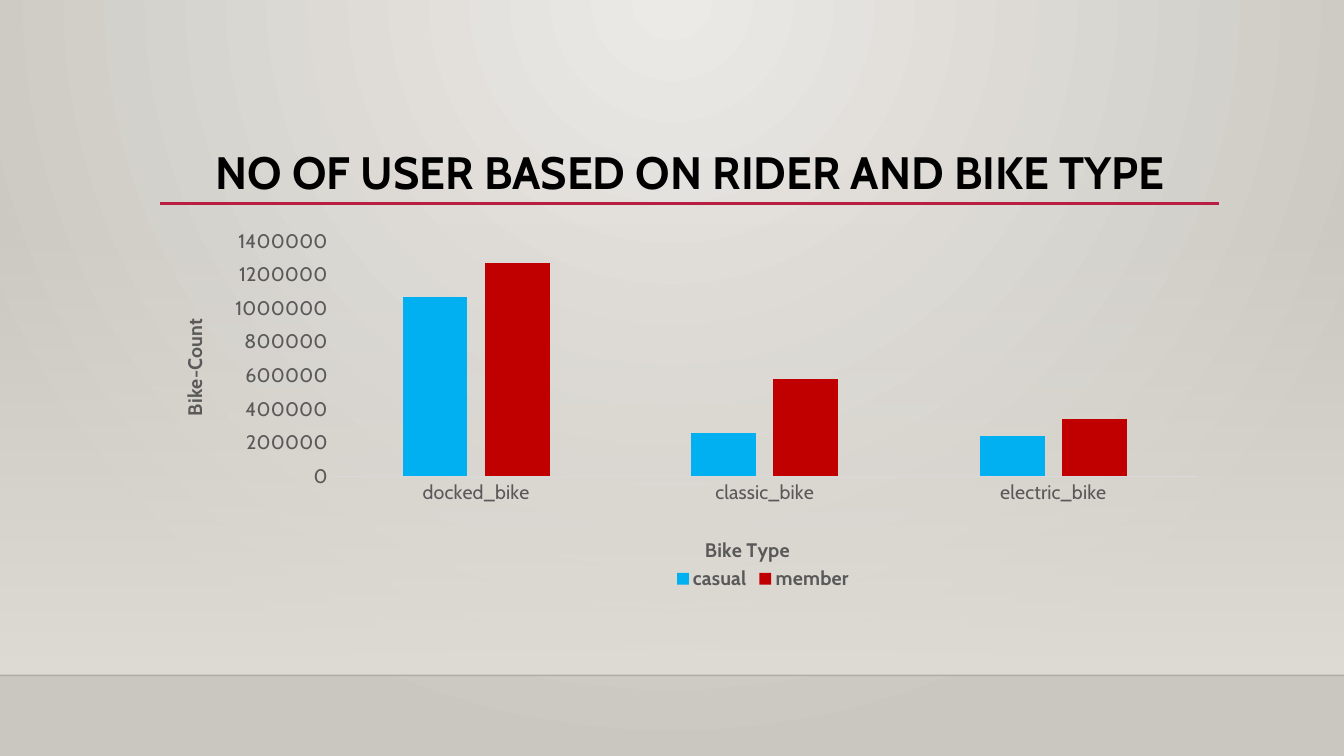
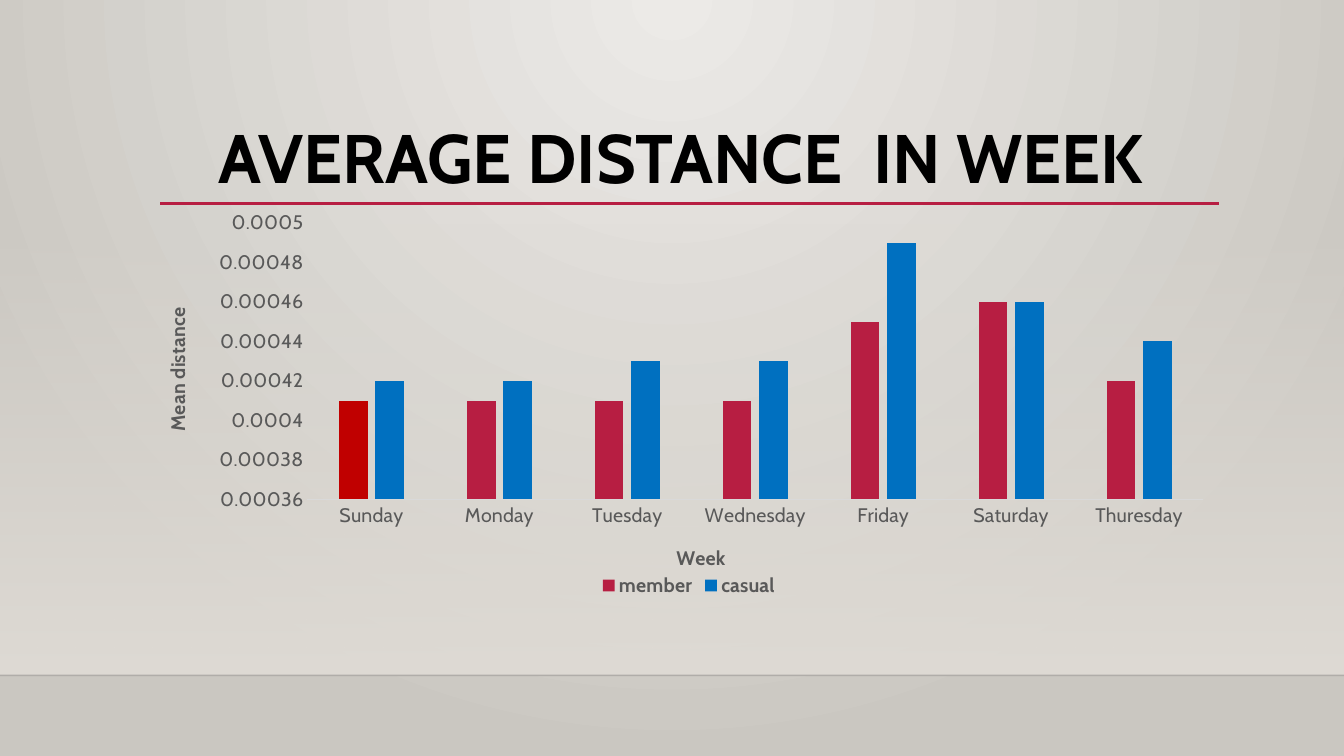
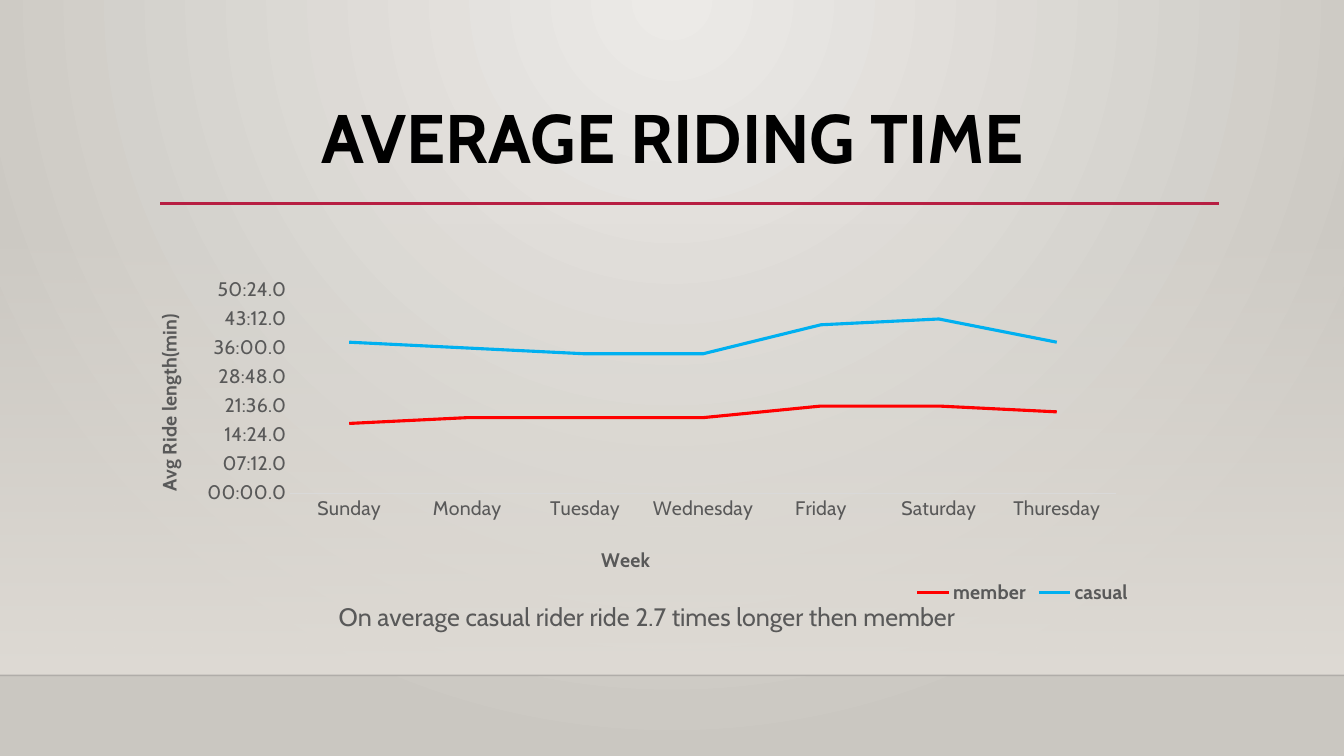
import pptx
import pptx.chart.data
import pptx.dml.color
import pptx.enum.chart
import pptx.enum.shapes
import pptx.enum.text
import pptx.oxml
import pptx.oxml.ns
import pptx.util

Inches = pptx.util.Inches
Pt = pptx.util.Pt
RGBColor = pptx.dml.color.RGBColor
XL = pptx.enum.chart
qn = pptx.oxml.ns.qn

# Colours
BLACK = RGBColor(0x00, 0x00, 0x00)
HORIZON = RGBColor(0x00, 0x00, 0x01)
GREY = RGBColor(0x59, 0x59, 0x59)
AXIS_GREY = RGBColor(0xD9, 0xD9, 0xD9)
BG_LIGHT = RGBColor(0xEC, 0xEA, 0xE7)
BG_DARK = RGBColor(0xCA, 0xC7, 0xC1)
BAND = RGBColor(0xDF, 0xDB, 0xD5)
CRIMSON = RGBColor(0xB7, 0x1E, 0x42)
DARK_RED = RGBColor(0xC0, 0x00, 0x00)
RED = RGBColor(0xFF, 0x00, 0x00)
SKY = RGBColor(0x00, 0xB0, 0xF0)
BLUE = RGBColor(0x00, 0x70, 0xC0)

FONT = "Cabin"
DAYS = ["Sunday", "Monday", "Tuesday", "Wednesday", "Friday", "Saturday", "Thuresday"]


def set_alpha(parent, percent):
    """Make the first colour inside an element partly transparent."""
    clr = next(parent.iter(qn("a:srgbClr")))
    clr.append(pptx.oxml.parse_xml(
        f'<a:alpha {pptx.oxml.ns.nsdecls("a")} val="{percent * 1000}"/>'))


def set_layout(el, index, place, target=""):
    """Place a chart part by fractions of the chart: x, y and perhaps w, h."""
    for old in el.findall(qn("c:layout")):
        el.remove(old)
    inner = f'<c:layoutTarget val="{target}"/>' if target else ""
    inner += '<c:xMode val="edge"/><c:yMode val="edge"/>'
    inner += "".join(f'<c:{key} val="{val}"/>' for key, val in zip("xywh", place))
    el.insert(index, pptx.oxml.parse_xml(
        f'<c:layout {pptx.oxml.ns.nsdecls("c")}>'
        f'<c:manualLayout>{inner}</c:manualLayout></c:layout>'))


class Deck:
    def __init__(self):
        self.prs = pptx.Presentation()
        self.prs.slide_width, self.prs.slide_height = Inches(13.33), Inches(7.5)
        self.master = self.prs.slide_master
        self.slide = None

    def add_slide(self):
        self.slide = self.prs.slides.add_slide(self.prs.slide_layouts[5])

    def gradient(self, fill, *colors):
        fill.gradient()
        for stop, color in zip(fill.gradient_stops, colors):
            stop.color.rgb = color

    def style_font(self, font, size, color=GREY, bold=False):
        font.name, font.size, font.bold = FONT, Pt(size), bold
        font.color.rgb = color

    def to_master(self, sp):
        """Move a shape to the back of the master, before its placeholders."""
        tree = self.master.element.cSld.spTree
        first = self.master.placeholders[0].element
        tree.insert(tree.index(first), sp.element)

    def rule(self, x1, x2, y, color, width):
        sp = self.slide.shapes.add_connector(
            pptx.enum.shapes.MSO_CONNECTOR.STRAIGHT,
            Inches(x1), Inches(y), Inches(x2), Inches(y))
        sp.line.color.rgb = color
        sp.line.width = Pt(width)
        sp.element.spPr.append(pptx.oxml.parse_xml(
            f'<a:effectLst {pptx.oxml.ns.nsdecls("a")}/>'))
        return sp

    def backdrop(self):
        """Background, floor band and rules shared by every slide."""
        self.gradient(self.master.background.fill, BG_LIGHT, BG_DARK)
        grad = next(self.master.element.iter(qn("a:gradFill")))
        grad.replace(grad.find(qn("a:lin")), pptx.oxml.parse_xml(
            f'<a:path {pptx.oxml.ns.nsdecls("a")} path="circle">'
            '<a:fillToRect l="43000" t="0" r="43000" b="100000"/></a:path>'))

        band = self.slide.shapes.add_shape(
            pptx.enum.shapes.MSO_SHAPE.RECTANGLE,
            0, Inches(2.21), Inches(13.33), Inches(4.49))
        band.shadow.inherit = False
        band.line.fill.background()
        self.gradient(band.fill, BAND, BAND)
        band.fill.gradient_angle = 270
        set_alpha(band.element.spPr, 0)

        horizon = self.rule(0, 13.33, 6.7, HORIZON, 1)
        set_alpha(horizon.element.spPr, 20)
        underline = self.rule(1.59, 12.09, 2.02, CRIMSON, 2.5)
        for sp in (band, horizon, underline):
            self.to_master(sp)

    def title(self, text, left, top, width, size):
        sp = self.slide.shapes.title
        sp.left, sp.top = Inches(left), Inches(top)
        sp.width, sp.height = Inches(width), Inches(1.15)
        tf = sp.text_frame
        tf.word_wrap = True
        tf.auto_size = pptx.enum.text.MSO_AUTO_SIZE.NONE
        tf.vertical_anchor = pptx.enum.text.MSO_ANCHOR.TOP
        p = tf.paragraphs[0]
        p.alignment = pptx.enum.text.PP_ALIGN.CENTER
        p.line_spacing = 0.9
        r = p.add_run()
        r.text = text
        self.style_font(r.font, size, BLACK, True)

    def chart_text(self, title, text, place, size=14, bold=True):
        r = title.text_frame.paragraphs[0].add_run()
        r.text = text
        self.style_font(r.font, size, GREY, bold)
        set_layout(title._element, 1, place)

    def axis(self, axis, text, place):
        axis.has_major_gridlines = False
        axis.major_tick_mark = axis.minor_tick_mark = XL.XL_TICK_MARK.NONE
        self.style_font(axis.tick_labels.font, 14)
        self.chart_text(axis.axis_title, text, place)

    def chart(self, kind, box, cats, series, plot, cat_title, val_title,
              scale, legend, fmt="General"):
        data = pptx.chart.data.CategoryChartData()
        data.categories = cats
        for name, vals, _ in series:
            data.add_series(name, vals)
        chart = self.slide.shapes.add_chart(kind, *map(Inches, box), data).chart
        chart.has_title = False
        chart.font.name, chart.font.size = FONT, Pt(10)
        chart.font.color.rgb = BLACK
        set_layout(chart._chartSpace.chart.plotArea, 0, plot, "inner")

        # Axes
        self.axis(chart.category_axis, *cat_title)
        chart.category_axis.format.line.color.rgb = AXIS_GREY
        chart.category_axis.format.line.width = Pt(0.75)
        val = chart.value_axis
        self.axis(val, *val_title)
        val.format.line.fill.background()
        val.minimum_scale, val.maximum_scale, val.major_unit = scale
        val.tick_labels.number_format = fmt
        val.tick_labels.number_format_is_linked = False
        body = val.axis_title._element.find(".//" + qn("a:bodyPr"))
        body.set("rot", "-5400000")
        body.set("vert", "horz")

        # Legend
        chart.has_legend = True
        chart.legend.position = XL.XL_LEGEND_POSITION.BOTTOM
        chart.legend.include_in_layout = False
        self.style_font(chart.legend.font, 14, bold=True)
        set_layout(chart.legend._element, 1, legend)

        # Series
        chart.plots[0].vary_by_categories = False
        is_line = kind == XL.XL_CHART_TYPE.LINE
        if not is_line:
            chart.plots[0].gap_width, chart.plots[0].overlap = 219, -27
        for ser, (_, _, color) in zip(chart.plots[0].series, series):
            if is_line:
                ser.smooth = False
                ser.marker.style = XL.XL_MARKER_STYLE.NONE
                ser.format.line.color.rgb = color
                ser.format.line.width = Pt(2.25)
            else:
                ser.format.fill.solid()
                ser.format.fill.fore_color.rgb = color
        return chart


def main():
    deck = Deck()

    # Riders by bike type
    deck.add_slide()
    deck.backdrop()
    deck.title("NO OF USER BASED ON RIDER AND BIKE TYPE", 1.02, 1.44, 11.65, 32.4)
    deck.chart(
        XL.XL_CHART_TYPE.COLUMN_CLUSTERED, (1.59, 2.2, 10.5, 3.77),
        ["docked_bike", "classic_bike", "electric_bike"],
        [("casual", [1070000, 260000, 240000], SKY),
         ("member", [1270000, 580000, 340000], DARK_RED)],
        plot=(0.162, 0.052, 0.818, 0.618),
        cat_title=("Bike Type", (0.511, 0.817)),
        val_title=("Bike-Count", (0.016, 0.245)),
        scale=(0, 1400000, 200000), legend=(0.482, 0.897))

    # Mean distance by weekday
    deck.add_slide()
    deck.title("AVERAGE DISTANCE  IN WEEK", 0.5, 1.18, 12.5, 49)
    chart = deck.chart(
        XL.XL_CHART_TYPE.COLUMN_CLUSTERED, (1.59, 2.03, 10.5, 3.95), DAYS,
        [("member", [0.00041, 0.00041, 0.00041, 0.00041, 0.00045, 0.00046, 0.00042],
          CRIMSON),
         ("casual", [0.00042, 0.00042, 0.00043, 0.00043, 0.00049, 0.00046, 0.00044],
          BLUE)],
        plot=(0.139, 0.046, 0.846, 0.695),
        cat_title=("Week", (0.484, 0.843)),
        val_title=("Mean distance", (0, 0.25)),
        scale=(0.00036, 0.0005, 0.00002), legend=(0.412, 0.927))
    sunday = chart.plots[0].series[0].points[0].format.fill
    sunday.solid()
    sunday.fore_color.rgb = DARK_RED

    # Ride length by weekday
    deck.add_slide()
    deck.title("AVERAGE RIDING TIME", 0.42, 0.98, 12.5, 49)
    chart = deck.chart(
        XL.XL_CHART_TYPE.LINE, (1.32, 2.13, 9.93, 4.27), DAYS,
        [("member", [0.012, 0.013, 0.013, 0.013, 0.015, 0.015, 0.014], RED),
         ("casual", [0.026, 0.025, 0.024, 0.024, 0.029, 0.03, 0.026], SKY)],
        plot=(0.158, 0.175, 0.83, 0.472),
        cat_title=("Week", (0.467, 0.761)),
        val_title=("Avg Ride length(min)", (0.019, 0.22)),
        scale=(0, 0.035, 0.005), legend=(0.782, 0.841), fmt="mm:ss.0;@")
    chart.has_title = True
    deck.chart_text(chart.chart_title,
                    "On average casual rider ride 2.7 times longer then member",
                    (0.202, 0.884), 18, False)

    deck.prs.save("out.pptx")


if __name__ == "__main__":
    main()
